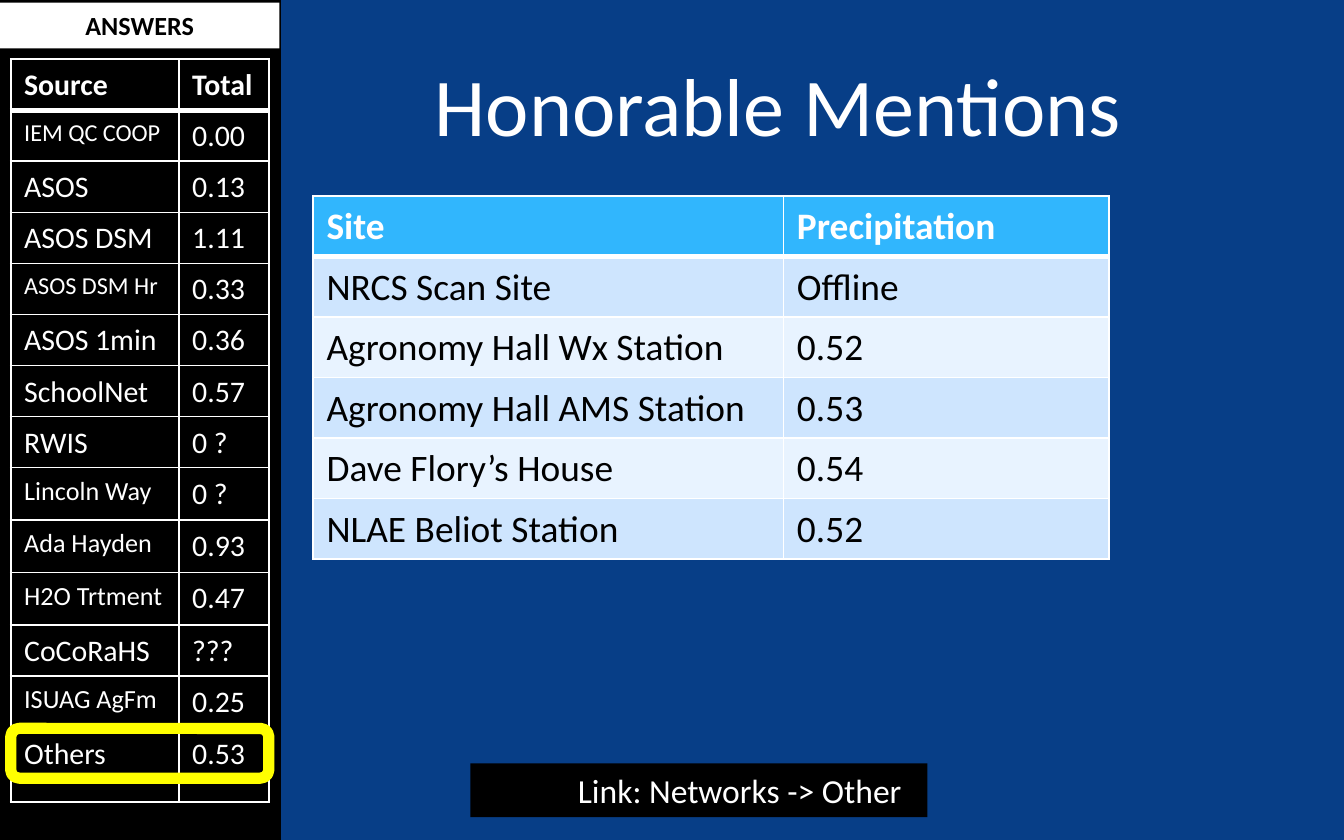
from dataclasses import dataclass

from lxml import etree
from pptx import Presentation
from pptx import util as u
from pptx.dml import color as col
from pptx.enum import shapes as sh, text as tx
from pptx.oxml import ns


@dataclass(frozen=True)
class Theme:
    font: str = "Calibri"
    blue: str = "073E87"
    black: str = "000000"
    white: str = "FFFFFF"
    head: str = "31B6FD"
    odd: str = "CEE5FE"
    even: str = "E8F3FF"
    mark: str = "FFFF00"
    title: int = 44
    body: int = 20
    link: int = 18
    cell: int = 16
    small: int = 14
    tiny: int = 13


T = Theme()

# Source, total, size of the source name
ANSWERS = [
    ("Source", "Total", T.cell),
    ("IEM QC COOP", "0.00", T.tiny),
    ("ASOS", "0.13", T.cell),
    ("ASOS DSM", "1.11", T.cell),
    ("ASOS DSM Hr", "0.33", T.tiny),
    ("ASOS 1min", "0.36", T.cell),
    ("SchoolNet", "0.57", T.cell),
    ("RWIS", "0 ?", T.cell),
    ("Lincoln Way", "0 ?", T.small),
    ("Ada Hayden", "0.93", T.small),
    ("H2O Trtment", "0.47", T.small),
    ("CoCoRaHS", "???", T.cell),
    ("ISUAG AgFm", "0.25", T.small),
    ("Others", "0.53", T.cell),
]
SITES = [
    ("Site", "Precipitation"),
    ("NRCS Scan Site", "Offline"),
    ("Agronomy Hall Wx Station", "0.52"),
    ("Agronomy Hall AMS Station", "0.53"),
    ("Dave Flory’s House", "0.54"),
    ("NLAE Beliot Station", "0.52"),
]


def rgb(code):
    return col.RGBColor.from_string(code)


def inch(box):
    return [u.Inches(n) for n in box]


def put(frame, words, size, tint, bold=False, align=tx.PP_ALIGN.LEFT):
    """Add one run to the first paragraph."""
    para = frame.paragraphs[0]
    para.alignment = align
    run = para.add_run()
    run.text = words
    font = run.font
    font.name, font.size, font.bold = T.font, u.Pt(size), bold
    font.color.rgb = rgb(tint)


def block(slide, box, fill=None, line=None, width=0, kind=sh.MSO_SHAPE.RECTANGLE):
    shape = slide.shapes.add_shape(kind, *inch(box))
    shape.shadow.inherit = False
    if fill:
        shape.fill.solid()
        shape.fill.fore_color.rgb = rgb(fill)
    else:
        shape.fill.background()
    if line:
        shape.line.color.rgb = rgb(line)
        shape.line.width = u.Pt(width)
    else:
        shape.line.fill.background()
    return shape


def edge(cell, row):
    """Draw white cell borders, with a thick rule under the header."""
    props = cell._tc.get_or_add_tcPr()
    thick = {(0, "B"), (1, "T")}
    for side in "LRTB":
        width = u.Pt(3 if (row, side) in thick else 1)
        line = etree.SubElement(props, ns.qn("a:ln" + side), w=str(width))
        fill = etree.SubElement(line, ns.qn("a:solidFill"))
        etree.SubElement(fill, ns.qn("a:srgbClr"), val=T.white)


def grid(slide, box, cols, rows, data, style):
    """Fill a table; style(row, col) gives size, text colour and fill."""
    table = slide.shapes.add_table(len(rows), len(cols), *inch(box)).table
    table.horz_banding = False
    for part, width in zip(table.columns, cols):
        part.width = u.Inches(width)
    for r, height in enumerate(rows):
        table.rows[r].height = u.Inches(height)
        for c in range(len(cols)):
            cell = table.cell(r, c)
            cell.margin_left = cell.margin_right = u.Inches(0.1)
            # A slim bottom margin lets one line fit the row height
            cell.margin_top, cell.margin_bottom = u.Inches(0.06), u.Inches(0.04)
            size, tint, fill = style(r, c)
            put(cell.text_frame, data[r][c], size, tint, r == 0)
            edge(cell, r)
            if fill:
                cell.fill.solid()
                cell.fill.fore_color.rgb = rgb(fill)
            else:
                cell.fill.background()


def panel(slide, box):
    """Black side panel with the answers table."""
    left, top, width, _ = box
    block(slide, box, T.black, T.black, 2)
    label = block(slide, (left, top + 0.02, width, 0.34), T.white)
    frame = label.text_frame
    frame.vertical_anchor = tx.MSO_ANCHOR.MIDDLE
    put(frame, "ANSWERS", T.small, T.black, True, tx.PP_ALIGN.CENTER)

    rows = [0.38] * 8 + [0.39] * 3 + [0.38, 0.39, 0.55]
    grid(slide, (left + 0.08, top + 0.44, 1.92, sum(rows)), [1.25, 0.67], rows,
         ANSWERS, lambda r, c: (T.cell if c else ANSWERS[r][2], T.white, None))


def title(slide, box):
    head = slide.shapes.title
    head.left, head.top, head.width, head.height = inch(box)
    head.text_frame.vertical_anchor = tx.MSO_ANCHOR.MIDDLE
    put(head.text_frame, "Honorable Mentions", T.title, T.white,
        align=tx.PP_ALIGN.CENTER)


def sites(slide, box):
    """Banded table of the extra sites."""
    def style(r, c):
        if r == 0:
            return T.body, T.white, T.head
        return T.body, T.black, T.odd if r % 2 else T.even

    count = len(SITES)
    grid(slide, box, [3.5, box[2] - 3.5], [box[3] / count] * count, SITES, style)


def mark(slide, box):
    """Yellow frame around the current answer."""
    block(slide, box, None, T.mark, 6, sh.MSO_SHAPE.ROUNDED_RECTANGLE)


def link(slide, box):
    """Black label with the menu path."""
    frame = block(slide, box, T.black).text_frame
    frame.word_wrap = False
    frame.margin_left = u.Inches(0.8)
    frame.vertical_anchor = tx.MSO_ANCHOR.TOP
    put(frame, "Link: Networks -> Other", T.link, T.white)


def main():
    deck = Presentation()
    deck.slide_width, deck.slide_height = u.Inches(10), u.Inches(6.25)
    slide = deck.slides.add_slide(deck.slide_layouts[5])
    slide.background.fill.solid()
    slide.background.fill.fore_color.rgb = rgb(T.blue)

    panel(slide, (0, 0, 2.08, 6.25))
    title(slide, (2.08, 0.25, 7.42, 1.04))
    sites(slide, (2.33, 1.46, 5.92, 2.7))
    mark(slide, (0.08, 5.42, 1.92, 0.37))
    link(slide, (3.5, 5.68, 3.4, 0.4))
    deck.save("out.pptx")


if __name__ == "__main__":
    main()
